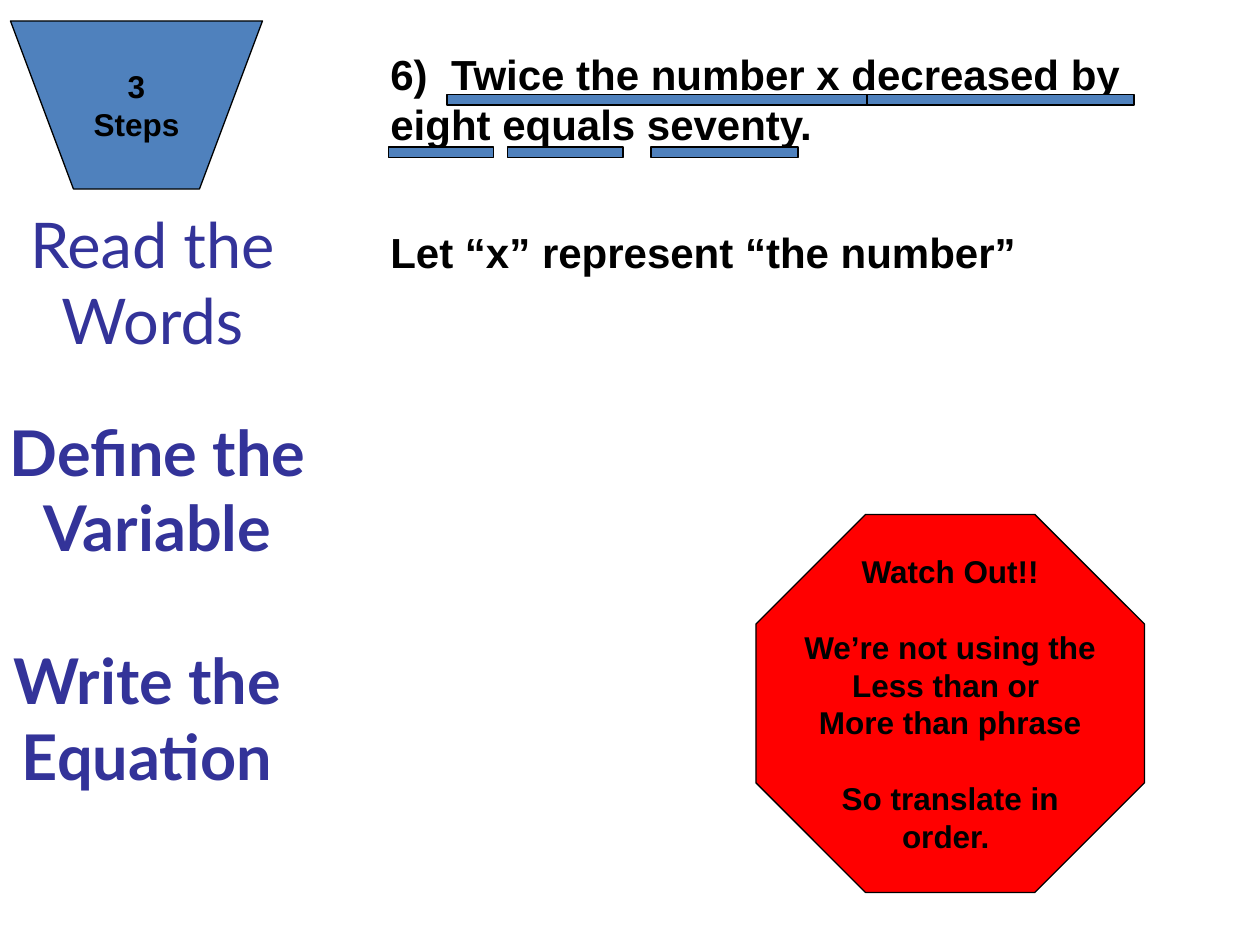
from pptx import Presentation
from pptx.dml.color import RGBColor
from pptx.enum.shapes import MSO_SHAPE
from pptx.enum.text import MSO_ANCHOR, PP_ALIGN
from pptx.util import Pt

RECTANGLE, OCTAGON = MSO_SHAPE.RECTANGLE, MSO_SHAPE.OCTAGON
LEFT, CENTER = PP_ALIGN.LEFT, PP_ALIGN.CENTER
TOP, MIDDLE = MSO_ANCHOR.TOP, MSO_ANCHOR.MIDDLE

THEME = {
    "ink": RGBColor(0, 0, 0),
    "step": RGBColor(0x33, 0x33, 0x99),
    "accent": RGBColor(0x4F, 0x81, 0xBD),
    "warning": RGBColor(0xFF, 0, 0),
    "body_font": "Arial",
    "step_font": "Lato",
    "step_size": 36,
    "problem_size": 24,
    "label_size": 18,
    "leading": 1.2,
    "outline": 0.75,
}


def write(shape, lines, size, font=THEME["body_font"], color=THEME["ink"],
          bold=True, align=CENTER, anchor=TOP, wrap=False, inset=7.2, gaps=()):
    frame = shape.text_frame
    frame.word_wrap = wrap
    frame.vertical_anchor = anchor
    frame.margin_left = frame.margin_right = Pt(inset)
    leading = Pt(size * THEME["leading"])
    for index, line in enumerate(lines):
        paragraph = frame.add_paragraph() if index else frame.paragraphs[0]
        paragraph.alignment = align
        paragraph.line_spacing = leading
        if index in gaps:
            paragraph.space_before = leading
        run = paragraph.add_run()
        run.text = line
        run.font.name = font
        run.font.size = Pt(size)
        run.font.bold = bold
        run.font.color.rgb = color


def paint(shape, fill):
    shape.shadow.inherit = False
    shape.fill.solid()
    shape.fill.fore_color.rgb = fill
    shape.line.color.rgb = THEME["ink"]
    shape.line.width = Pt(THEME["outline"])


prs = Presentation()
prs.slide_width, prs.slide_height = Pt(720), Pt(540)
slide = prs.slides.add_slide(prs.slide_layouts[6])
shapes = slide.shapes

steps = [
    (["Read the", "Words"], 6, 114, 162, False),
    (["Define the", "Variable"], 2, 232.5, 176, True),
    (["Write the", "Equation"], 2, 363, 164, True),
]
for lines, left, top, width, bold in steps:
    step = shapes.add_textbox(Pt(left), Pt(top), Pt(width), Pt(94))
    write(step, lines, THEME["step_size"], font=THEME["step_font"],
          color=THEME["step"], bold=bold, inset=0)

statements = [
    ("6)  Twice the number x decreased by eight equals seventy.", 24, 486, 65.5),
    ("Let “x” represent “the number”", 126, 462, 36),
]
for sentence, top, width, height in statements:
    statement = shapes.add_textbox(Pt(216), Pt(top), Pt(width), Pt(height))
    write(statement, [sentence], THEME["problem_size"], align=LEFT, wrap=True)

outline = shapes.build_freeform(Pt(6), Pt(12))
outline.add_line_segments([(Pt(42), Pt(108)), (Pt(114), Pt(108)), (Pt(150), Pt(12))])
steps_badge = outline.convert_to_shape()
paint(steps_badge, THEME["accent"])
write(steps_badge, ["3", "Steps"], THEME["label_size"], anchor=MIDDLE)

underlines = [(480, 54, 168), (255.5, 54, 240), (222, 84, 60), (290, 84, 66), (372, 84, 84)]
for left, top, width in underlines:
    underline = shapes.add_shape(RECTANGLE, Pt(left), Pt(top), Pt(width), Pt(6))
    paint(underline, THEME["accent"])

stop_sign = shapes.add_shape(OCTAGON, Pt(432), Pt(294), Pt(222), Pt(216))
stop_sign.adjustments[0] = 0.29
paint(stop_sign, THEME["warning"])
warning = ["Watch Out!!", "We’re not using the", "Less than or ", "More than phrase",
           "So translate in", "order. "]
write(stop_sign, warning, THEME["label_size"], anchor=MIDDLE, gaps=(1, 4))

prs.save("out.pptx")
